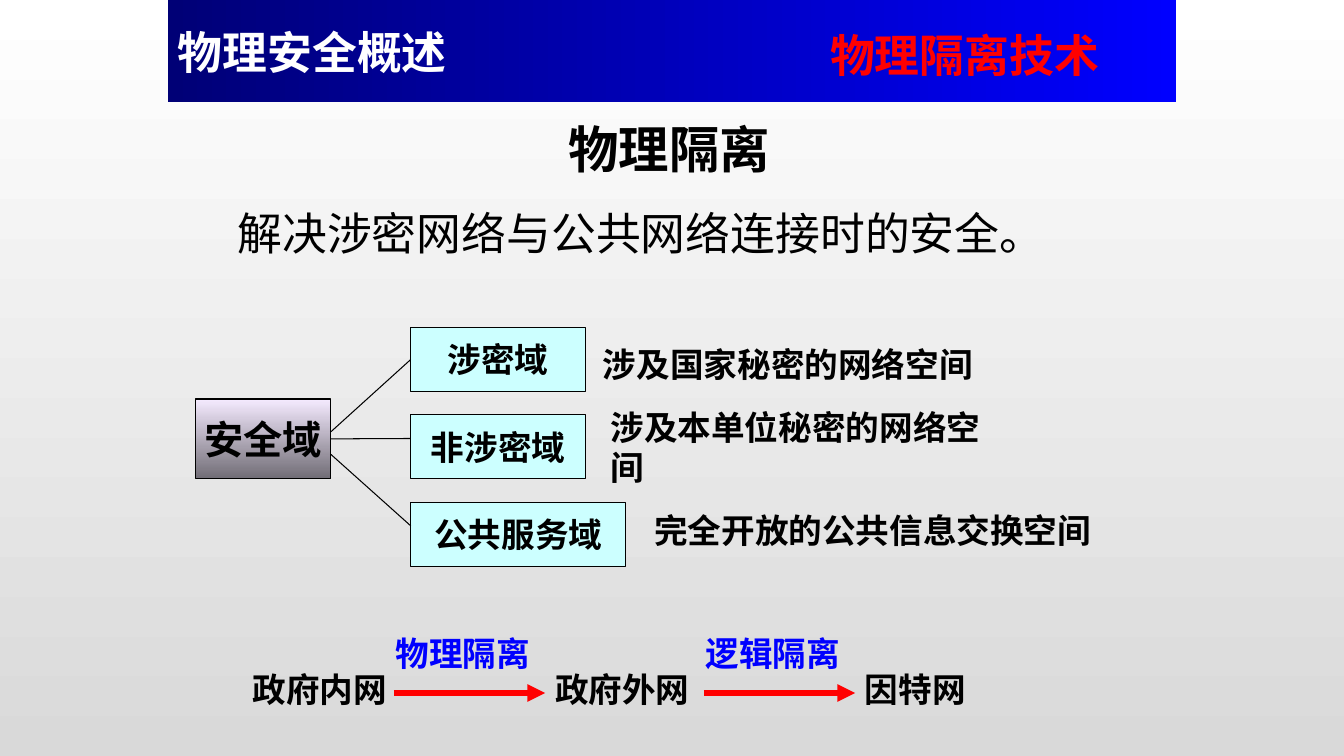
from lxml.etree import SubElement
from pptx import Presentation
from pptx.dml.color import RGBColor
from pptx.enum.shapes import MSO_CONNECTOR as LINK, MSO_SHAPE as SHAPE
from pptx.enum.text import MSO_ANCHOR as ANCHOR, PP_ALIGN as ALIGN
from pptx.oxml.ns import qn
from pptx.util import Inches, Pt

BLACK = RGBColor(0x00, 0x00, 0x00)
WHITE = RGBColor(0xFF, 0xFF, 0xFF)
GREY = RGBColor(0xD9, 0xD9, 0xD9)
NAVY = RGBColor(0x00, 0x00, 0x76)
BLUE = RGBColor(0x00, 0x00, 0xFF)
RED = RGBColor(0xFF, 0x00, 0x00)
CYAN = RGBColor(0xCC, 0xFF, 0xFF)
LILAC = RGBColor(0xF5, 0xEB, 0xFF)
SLATE = RGBColor(0x71, 0x6D, 0x76)

deck = Presentation()
deck.slide_width, deck.slide_height = Inches(13.33), Inches(7.5)
COL, ROW = deck.slide_width / 160, deck.slide_height / 90
slide = deck.slides.add_slide(deck.slide_layouts[6])


def place(cells, text, size, color=BLACK, bold=True, align=ALIGN.LEFT,
          anchor=ANCHOR.MIDDLE, wrap=False, boxed=False):
    left, top, width, height = cells
    area = [round(n) for n in (left * COL, top * ROW, width * COL, height * ROW)]
    if boxed:
        item = slide.shapes.add_shape(SHAPE.RECTANGLE, *area)
        item.shadow.inherit = False
        item.line.color.rgb = BLACK
        item.line.width = Pt(0.75)
    else:
        item = slide.shapes.add_textbox(*area)
    frame = item.text_frame
    frame.word_wrap = wrap
    frame.vertical_anchor = anchor
    frame.paragraphs[0].alignment = align
    run = frame.paragraphs[0].add_run()
    run.text = text
    run.font.name = "Arial"
    run.font.size = Pt(size)
    run.font.bold = bold
    run.font.color.rgb = color
    return item


def connect(x1, y1, x2, y2, color=BLACK, width=0.75):
    link = slide.shapes.add_connector(
        LINK.STRAIGHT, round(x1 * COL), round(y1 * ROW), round(x2 * COL), round(y2 * ROW))
    link.line.color.rgb = color
    link.line.width = Pt(width)
    SubElement(link._element.spPr, qn("a:effectLst"))
    return link


banner = place((20, 0, 120, 12.2), "物理安全概述", 32, WHITE, boxed=True)
banner.line.fill.background()

purpose = place((27.1, 23.9, 108, 8.5), "解决涉密网络与公共网络连接时的安全。", 32,
                bold=False, anchor=ANCHOR.TOP, wrap=True)
hanging = purpose.text_frame.paragraphs[0]._p.get_or_add_pPr()
hanging.set("marL", str(Inches(0.38)))
hanging.set("indent", str(-Inches(0.38)))

place((26, 13.2, 106, 8.8), " 物理隔离", 36, align=ALIGN.CENTER, wrap=True)

root_left, root_width, domain_left = 23.3, 16.1, 48.9
root_right = root_left + root_width
root = place((root_left, 47.5, root_width, 9.5), "安全域", 28, align=ALIGN.CENTER, boxed=True)

gradients = [
    (slide.background.fill, WHITE, GREY, 270),
    (banner.fill, NAVY, BLUE, 0),
    (root.fill, LILAC, SLATE, 270),
]
for fill, start, end, angle in gradients:
    fill.gradient()
    fill.gradient_angle = angle
    for stop, color, position in zip(fill.gradient_stops, (start, end), (0, 1)):
        stop.color.rgb = color
        stop.position = position

domains = [
    ("涉密域", 20.8, "涉及国家秘密的网络空间", (70.6, 40, 49.2, 6.6), 51.4, 42.8),
    ("非涉密域", 20.8, "涉及本单位秘密的网络空间", (71.5, 50.4, 49.2, 5.6), 52.2, 52.2),
    ("公共服务域", 25.6, "完全开放的公共信息交换空间", (76.7, 59.8, 63.4, 6.6), 54.1, 62.6),
]
for i, (name, width, meaning, cells, start, end) in enumerate(domains):
    domain = place((domain_left, 39 + 10.4 * i, width, 7.6), name, 24,
                   align=ALIGN.CENTER, boxed=True)
    domain.fill.solid()
    domain.fill.fore_color.rgb = CYAN
    place(cells, meaning, 24)
    branch = connect(root_right, start, domain_left, end)
    if i == 0:
        branch.end_connect(domain, 1)
    elif i == 1:
        branch.begin_connect(root, 3)

for left, network in zip((28.9, 64.9, 101.8), ("政府内网", "政府外网", "因特网")):
    place((left, 78.7, 19.8, 6.6), network, 24)

for left, isolation in zip((46.9, 83.8), ("物理隔离", "逻辑隔离")):
    arrow = connect(left, 82.5, left + 18, 82.5, RED, 4.25)
    SubElement(arrow.line._get_or_add_ln(), qn("a:tailEnd"), type="triangle")
    place((left - 1, 74.9, 19.8, 5.6), isolation, 24, BLUE)

place((94.1, 2.8, 41.5, 7.4), "物理隔离技术", 32, RED, align=ALIGN.CENTER, wrap=True)

deck.save("out.pptx")
